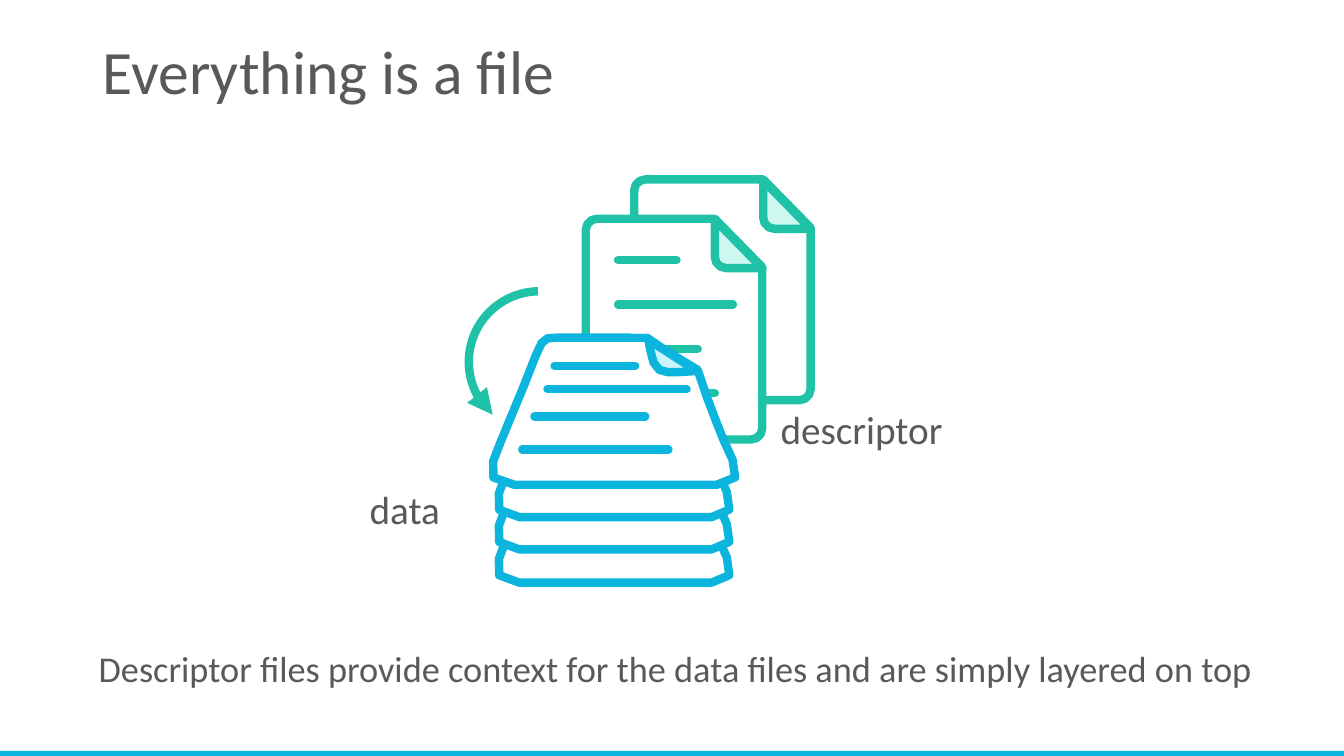
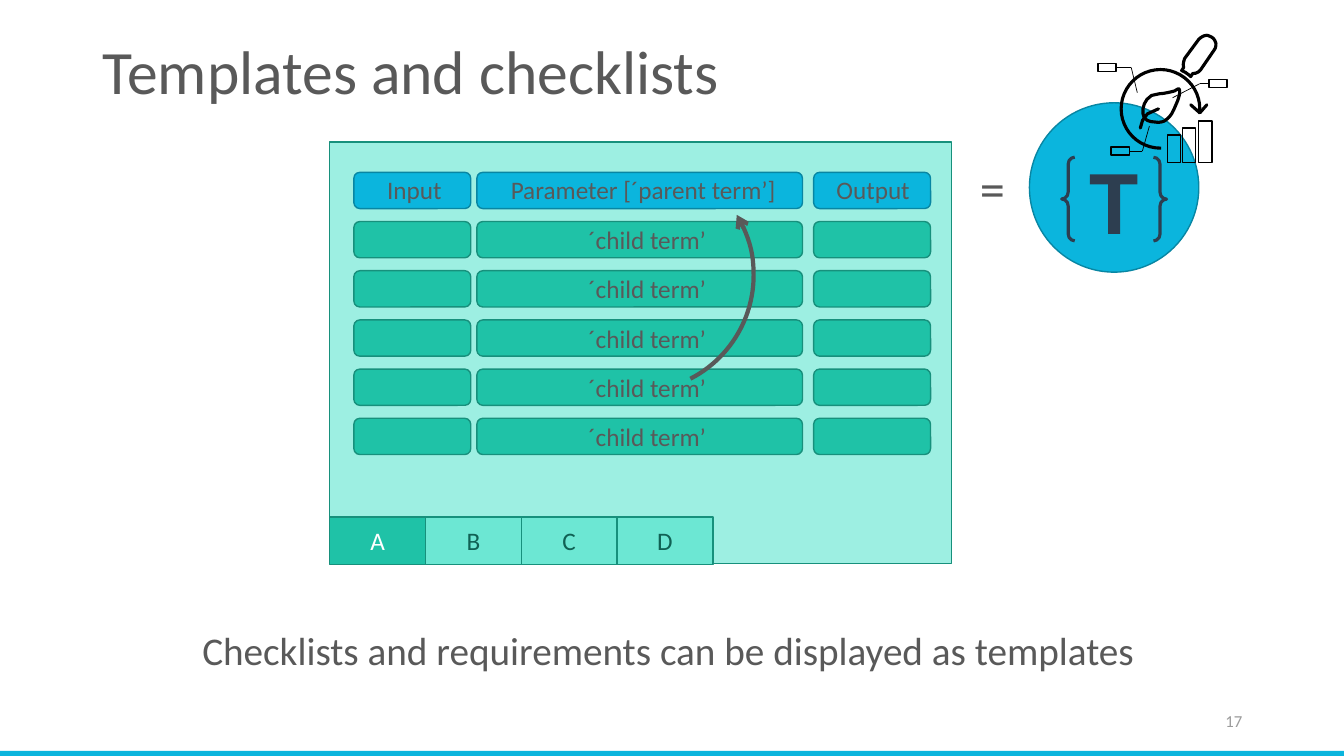
from pptx import Presentation
from pptx import util as u
from pptx.dml import color
from pptx.enum import shapes, text
from pptx.oxml import ns
from lxml import etree

FONT = "Calibri"
COLORS = {
    "white": "FFFFFF", "black": "000000", "text": "595959", "muted": "9B9B9B",
    "blue": "0BB5DD", "blue_edge": "0886A3", "blue_fold": "CAF3FC",
    "back_fold": "DAE3F3", "back_edge": "4472C4",
    "green": "1FC2A7", "green_edge": "17907C", "green_fold": "CEF7F0",
    "panel": "9DEFE2", "tab": "6CE7D3", "tab_text": "106154", "navy": "2D3E50",
}
KIND = shapes.MSO_SHAPE
ALIGN = text.PP_ALIGN
SLIDE_W, SLIDE_H = 13.33, 7.5

DESCRIPTOR_PAGES = [(6.29, 1.78), (5.81, 2.17)]
PAGE_OUTLINE = [(0, 0.11), (0, 0.05, 0.05, 0, 0.11, 0), (1.28, 0), (1.75, 0.48),
                (1.75, 2.08), (1.75, 2.14, 1.7, 2.19, 1.64, 2.19), (0.11, 2.19),
                (0.05, 2.19, 0, 2.14, 0, 2.08)]
PAGE_FOLD = [(1.28, 0.01), (1.75, 0.49), (1.39, 0.49),
             (1.33, 0.49, 1.28, 0.44, 1.28, 0.38)]
DESCRIPTOR_LINES = [0.58, 1.14, 0.79, 0.96]

SHEET_CENTER = 6.09
BACK_SHEETS = [4.32, 3.99, 3.67]
FRONT_SHEET, FRONT_STRETCH = 3.35, 1.05
SHEET_OUTLINE = [(-0.74, 0.18), (-0.8, 0.36, -1.04, 0.95, -1.08, 1.06),
                 (-1.13, 1.2, -1.28, 1.46, -0.94, 1.46), (0.97, 1.46),
                 (1.29, 1.47, 1.1, 1.18, 1.04, 1.03), (0.98, 0.87, 0.88, 0.62, 0.79, 0.32),
                 (0.56, 0.17, 0.51, 0.15, 0.31, 0), (0.08, 0, -0.08, 0, -0.53, 0),
                 (-0.66, 0, -0.67, 0, -0.74, 0.18)]
BACK_FOLD = [(0.33, 0.03), (0.35, 0.14, 0.36, 0.26, 0.42, 0.3),
             (0.49, 0.35, 0.59, 0.33, 0.75, 0.32), (0.64, 0.25, 0.42, 0.09, 0.33, 0.03)]
FRONT_FOLD = [(6.43, 3.37), (6.46, 3.49, 6.46, 3.62, 6.54, 3.67),
              (6.61, 3.71, 6.73, 3.69, 6.92, 3.68), (6.79, 3.61, 6.53, 3.43, 6.43, 3.37)]
DATA_LINES = [(5.5, 6.3, 3.63), (5.43, 6.81, 3.86), (5.3, 6.4, 4.13), (5.18, 6.63, 4.46)]
EDGE_TRIMS = [(6.26, 3.24, 0), (6.92, 3.68, 71.5)]

COLUMNS = [(3.51, 1.16, "Input", "", 0.04, 0),
           (4.73, 3.23, "Parameter [´parent term’]", "´child term’", 0.07, 0.15),
           (8.07, 1.16, "Output", "", 0.02, 0)]
CHILD_ROWS = 5
ROW_TOP, ROW_BOTTOM, ROW_H = 1.71, 4.15, 0.36
TABS = "ABCD"

CALLOUTS = [((10.89, 0.63), 3, (11.22, 0.67), (11.28, 0.92)),
            ((11.02, 1.46), 3, (11.33, 1.5), (11.4, 1.25)),
            ((11.99, 0.79), 1, (11.9, 0.83), (11.63, 0.97))]
BARS = [(11.58, 0.27), (11.73, 0.34), (11.89, 0.41)]
LEAF = [(11.35, 1.17), (11.33, 1.14, 11.33, 1.07, 11.35, 1.03), (11.37, 0.99, 11.4, 0.93, 11.5, 0.93),
        (11.53, 0.93, 11.58, 0.92, 11.62, 0.91), (11.65, 0.91, 11.68, 0.88, 11.69, 0.88),
        (11.7, 0.88, 11.7, 0.9, 11.7, 0.92), (11.7, 0.94, 11.69, 0.97, 11.68, 1),
        (11.67, 1.02, 11.64, 1.1, 11.62, 1.13), (11.6, 1.16, 11.58, 1.18, 11.55, 1.2),
        (11.53, 1.21, 11.49, 1.22, 11.45, 1.21), (11.42, 1.21, 11.37, 1.2, 11.35, 1.17)]
STEM = [(11.31, 1.27), (11.33, 1.19, 11.34, 1.12, 11.49, 1.08)]
HANDLE = [(11.97, 0.35), (11.98, 0.35, 12, 0.36, 12.02, 0.37), (12.04, 0.38, 12.05, 0.4, 12.06, 0.43),
          (12.06, 0.45, 12.06, 0.48, 12.04, 0.5), (11.91, 0.69), (11.89, 0.72, 11.86, 0.73, 11.83, 0.73),
          (11.81, 0.76), (11.8, 0.75), (11.79, 0.74, 11.77, 0.73, 11.76, 0.72), (11.72, 0.7), (11.74, 0.67),
          (11.73, 0.64, 11.74, 0.61, 11.75, 0.58), (11.89, 0.39), (11.91, 0.37, 11.94, 0.35, 11.97, 0.35)]
LETTER_T = [(10.81, 1.73), (11.28, 1.73), (11.28, 1.83), (11.11, 1.83), (11.11, 2.32),
            (10.99, 2.32), (10.99, 1.83), (10.81, 1.83)]


def inch(value):
    return u.Cm(value * 2.54)


def rgb(name):
    return color.RGBColor.from_string(COLORS[name])


def style_line(line, name, width, rounded=False, head=None):
    line.color.rgb = rgb(name)
    line.width = u.Pt(width)
    outline = line._get_or_add_ln()
    if rounded:
        outline.set("cap", "rnd")
        etree.SubElement(outline, ns.qn("a:round"))
    if head:
        etree.SubElement(outline, ns.qn("a:headEnd"), type=head)


def style_shape(shape, fill=None, line=None, width=1, **line_options):
    shape.shadow.inherit = False
    if fill:
        shape.fill.solid()
        shape.fill.fore_color.rgb = rgb(fill)
    else:
        shape.fill.background()
    if line:
        style_line(shape.line, line, width, **line_options)
    else:
        shape.line.fill.background()
    return shape


def add_box(page, kind, x, y, w, h, fill=None, line=None, width=1, **line_options):
    shape = page.shapes.add_shape(kind, inch(x), inch(y), inch(w), inch(h))
    return style_shape(shape, fill, line, width, **line_options)


def add_arc(page, center, diameter, start, end, line, width, head=None):
    x, y = (value - diameter / 2 for value in center)
    arc = add_box(page, KIND.ARC, x, y, diameter, diameter, None, line, width, head=head)
    arc.adjustments[0], arc.adjustments[1] = start * 0.6, end * 0.6


def add_line(page, start, end, name, width, rounded=False):
    points = [inch(value) for value in (*start, *end)]
    line = page.shapes.add_connector(shapes.MSO_CONNECTOR.STRAIGHT, *points)
    style_line(line.line, name, width, rounded)
    etree.SubElement(line._element.spPr, ns.qn("a:effectLst"))
    return line


def flatten(outline, steps=3):
    points = [outline[0]]
    for part in outline[1:]:
        if len(part) == 2:
            points.append(part)
            continue
        controls = [points[-1], part[:2], part[2:4], part[4:]]
        for step in range(1, steps + 1):
            t = step / steps
            weights = ((1 - t) ** 3, 3 * t * (1 - t) ** 2, 3 * t * t * (1 - t), t ** 3)
            points.append(tuple(sum(k * c[axis] for k, c in zip(weights, controls)) for axis in (0, 1)))
    return points


def add_outline(page, outline, fill, line, width, origin=(0, 0), stretch=1, close=True):
    points = [(inch(origin[0] + x * stretch), inch(origin[1] + y)) for x, y in flatten(outline)]
    builder = page.shapes.build_freeform(*points[0])
    builder.add_line_segments(points[1:], close=close)
    return style_shape(builder.convert_to_shape(), fill, line, width, rounded=True)


def write(shape, words, size, name="text", align=ALIGN.CENTER, anchor=text.MSO_ANCHOR.MIDDLE, spacing=1):
    frame = shape.text_frame
    frame.vertical_anchor = anchor
    para = frame.paragraphs[0]
    para.text, para.alignment, para.line_spacing = words, align, spacing
    para.font.name, para.font.size = FONT, u.Pt(size)
    para.font.color.rgb = rgb(name)
    return frame


def add_text(page, words, x, y, w, h, size, wrap=True, **options):
    box = page.shapes.add_textbox(inch(x), inch(y), inch(w), inch(h))
    write(box, words, size, **options).word_wrap = wrap


def add_page(deck, title, message, place, message_size):
    page = deck.slides.add_slide(deck.slide_layouts[6])
    add_box(page, KIND.RECTANGLE, 0, 7.45, SLIDE_W, 0.05, "blue")
    add_text(page, title, 0.92, 0.01, 11.5, 1.45, 44, align=ALIGN.LEFT, spacing=0.9)
    add_text(page, message, *place, 0.74, message_size,
             anchor=text.MSO_ANCHOR.TOP, spacing=0.9)
    return page


def add_descriptor_pages(group):
    for origin in DESCRIPTOR_PAGES:
        add_outline(group, PAGE_OUTLINE, "white", "green", 6, origin)
        add_outline(group, PAGE_FOLD, "green_fold", "green", 6, origin)
    for index, length in enumerate(DESCRIPTOR_LINES):
        y = 2.58 + index * 0.44
        add_line(group, (6.13, y), (6.13 + length, y), "green", 6, rounded=True)


def add_data_sheets(group):
    for top in BACK_SHEETS:
        origin = (SHEET_CENTER, top)
        add_outline(group, SHEET_OUTLINE, "white", "blue", 6, origin)
        add_outline(group, BACK_FOLD, "back_fold", "back_edge", 6, origin)
    add_outline(group, SHEET_OUTLINE, "white", "blue", 6, (SHEET_CENTER, FRONT_SHEET), FRONT_STRETCH)
    for left, right, y in DATA_LINES:
        add_line(group, (left, y), (right, y), "blue", 6, rounded=True)
    add_outline(group, FRONT_FOLD, "blue_fold", "blue", 6)


def build_files(deck):
    page = add_page(deck, "Everything is a file",
                    "Descriptor files provide context for the data files and are simply layered on top",
                    (0.7, 6.41, 12), 25.9)
    add_descriptor_pages(page.shapes.add_group_shape())
    add_data_sheets(page.shapes.add_group_shape())
    for x, y, angle in EDGE_TRIMS:
        add_box(page, KIND.RECTANGLE, x, y, 0.21, 0.07, "white").rotation = angle
    add_text(page, "data", 3.56, 4.76, 0.91, 0.57, 28, wrap=False)
    add_text(page, "descriptor", 7.63, 3.97, 1.83, 0.57, 28, wrap=False)
    add_arc(page, (5.35, 3.59), 1.4, 131.4, 268.9, "green", 6, head="triangle")


def add_template_grid(page):
    add_box(page, KIND.RECTANGLE, 3.27, 1.41, 6.17, 4.18, "panel", "green_edge")
    for index, letter in enumerate(TABS):
        fill, name = ("tab", "tab_text") if index else ("green", "white")
        tab = add_box(page, KIND.RECTANGLE, 3.27 + index * 0.95, 5.13, 0.95, 0.47, fill, "green_edge")
        write(tab, letter, 18, name)
    pitch = (ROW_BOTTOM - ROW_TOP) / CHILD_ROWS
    for x, w, header, child, header_indent, child_indent in COLUMNS:
        for row, words in enumerate([header] + [child] * CHILD_ROWS):
            fill = "green" if row else "blue"
            cell = add_box(page, KIND.ROUNDED_RECTANGLE, x, ROW_TOP + row * pitch, w, ROW_H,
                           fill, fill + "_edge")
            if words:
                frame = write(cell, words, 18)
                frame.margin_left = inch(child_indent if row else header_indent)
                frame.margin_right = frame.margin_top = 0
                frame.margin_bottom = inch(0 if row else 0.02)
    add_arc(page, (6.32, 2.73), 2.31, 328.8, 62.8, "text", 3, head="arrow")


def add_analysis_icon(group):
    for corner, side, elbow, tip in CALLOUTS:
        label = add_box(group, KIND.RECTANGLE, *corner, 0.18, 0.08, None, "black")
        add_line(group, corner, elbow, "black", 0.5).begin_connect(label, side)
        add_line(group, elbow, tip, "black", 0.5)
    for x, height in BARS:
        add_box(group, KIND.RECTANGLE, x, 1.61 - height, 0.13, height, None, "black")
    add_arc(group, (11.51, 1.08), 0.78, 89, 3.3, "black", 2.25)
    for x in (11.97, 11.81):
        add_line(group, (11.9, 1.12), (x, 1.04), "black", 2.25, rounded=True)
    for outline, close in ((LEAF, True), (STEM, False), (HANDLE, True)):
        add_outline(group, outline, None, "black", 2.25, close=close)


def build_templates(deck):
    page = add_page(deck, "Templates and checklists",
                    "Checklists and requirements can be displayed as templates ",
                    (0.92, 6.22, 11.5), 28)
    add_template_grid(page)
    add_box(page, KIND.OVAL, 10.21, 1.02, 1.68, 1.68, "blue", "blue_edge")
    add_analysis_icon(page.shapes.add_group_shape())
    braces = page.shapes.add_group_shape()
    for x, angle in ((11.44, 180), (10.53, 0)):
        brace = add_box(braces, KIND.LEFT_BRACE, x, 1.56, 0.13, 0.83, None, "navy", 2.25)
        brace.adjustments[0] = 0.53
        brace.rotation = angle
    add_outline(page, LETTER_T, "navy", None, 0)
    add_text(page, "=", 9.62, 1.51, 0.45, 0.55, 36, align=ALIGN.LEFT, anchor=text.MSO_ANCHOR.TOP)
    add_text(page, "17", 9.42, 6.95, 3, 0.4, 12, name="muted", align=ALIGN.RIGHT)


def main():
    deck = Presentation()
    deck.slide_width, deck.slide_height = inch(SLIDE_W), inch(SLIDE_H)
    build_files(deck)
    build_templates(deck)
    deck.save("out.pptx")


if __name__ == "__main__":
    main()
